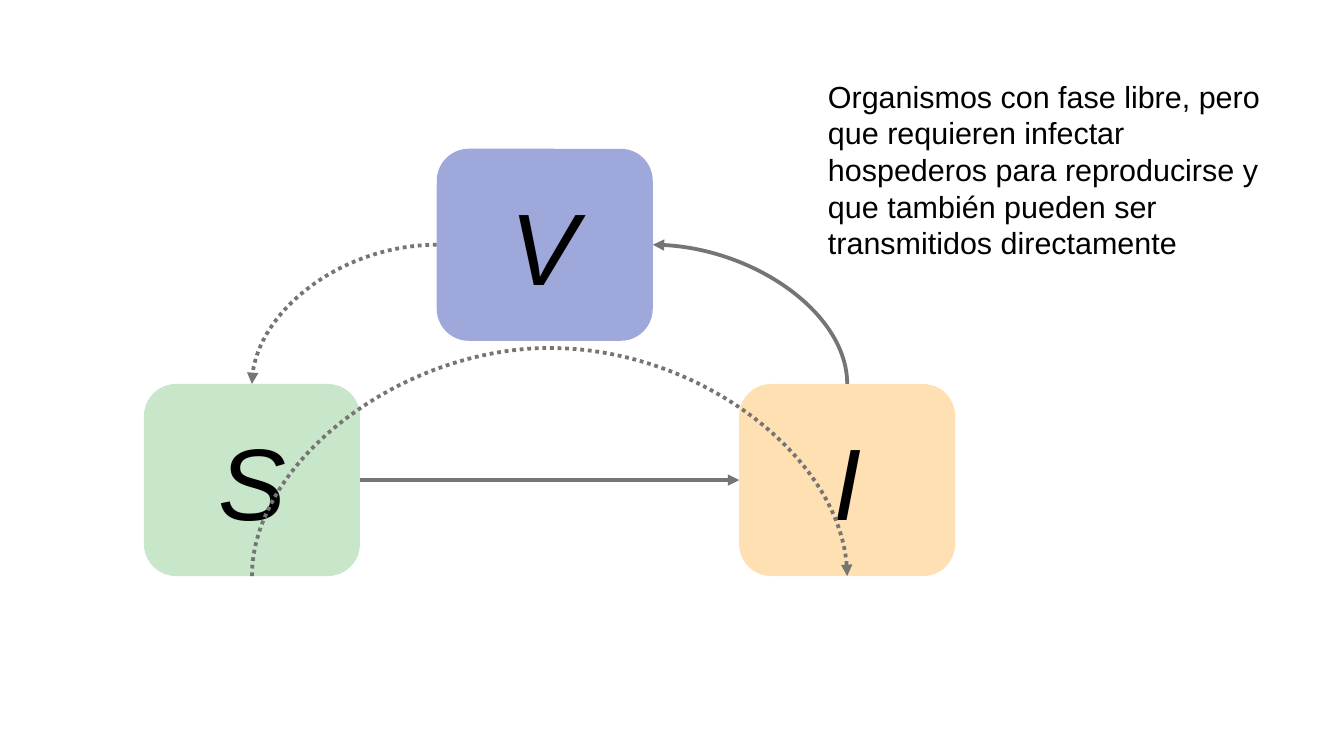
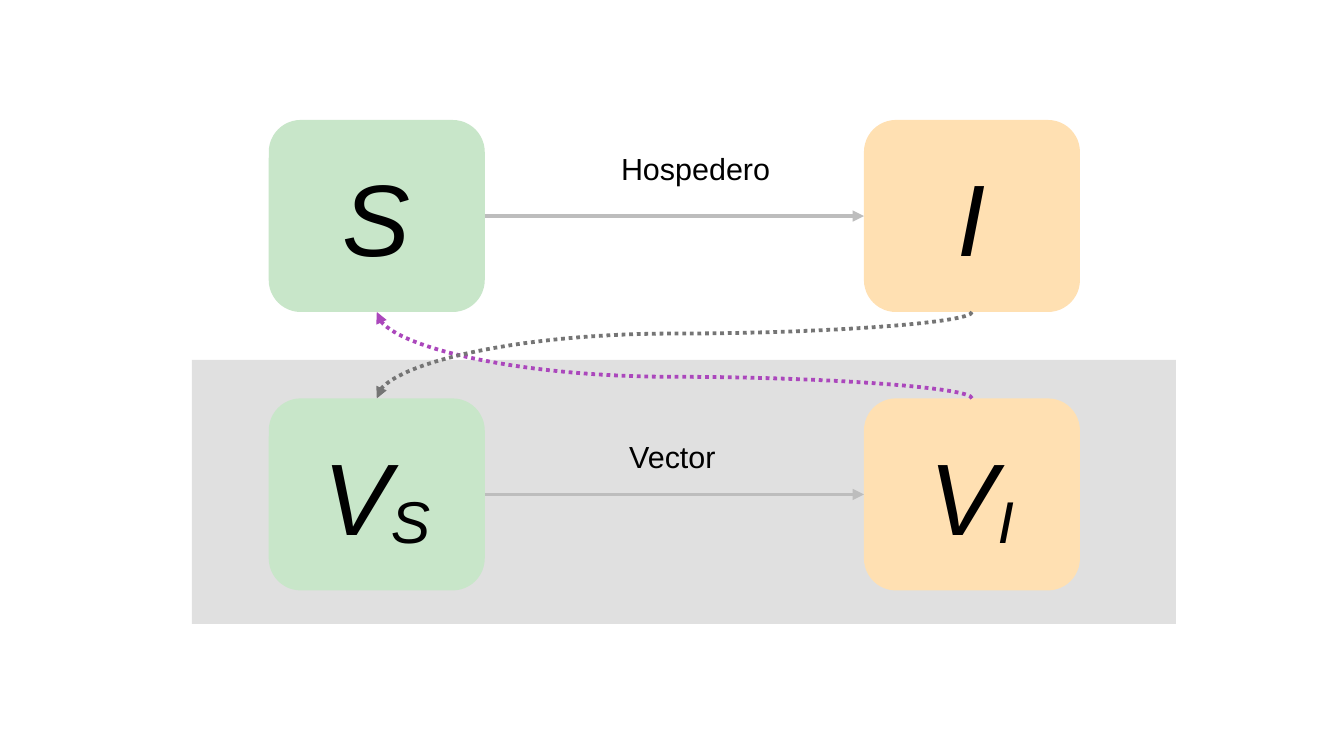
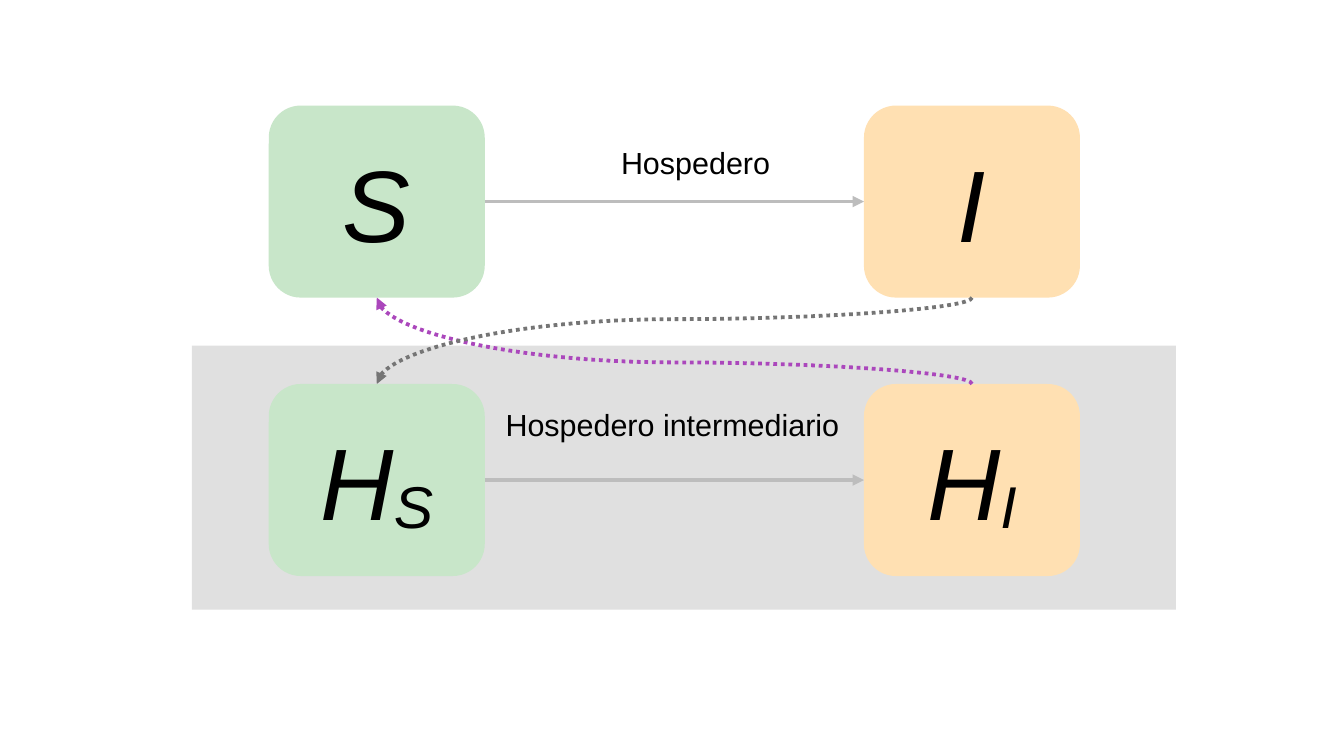
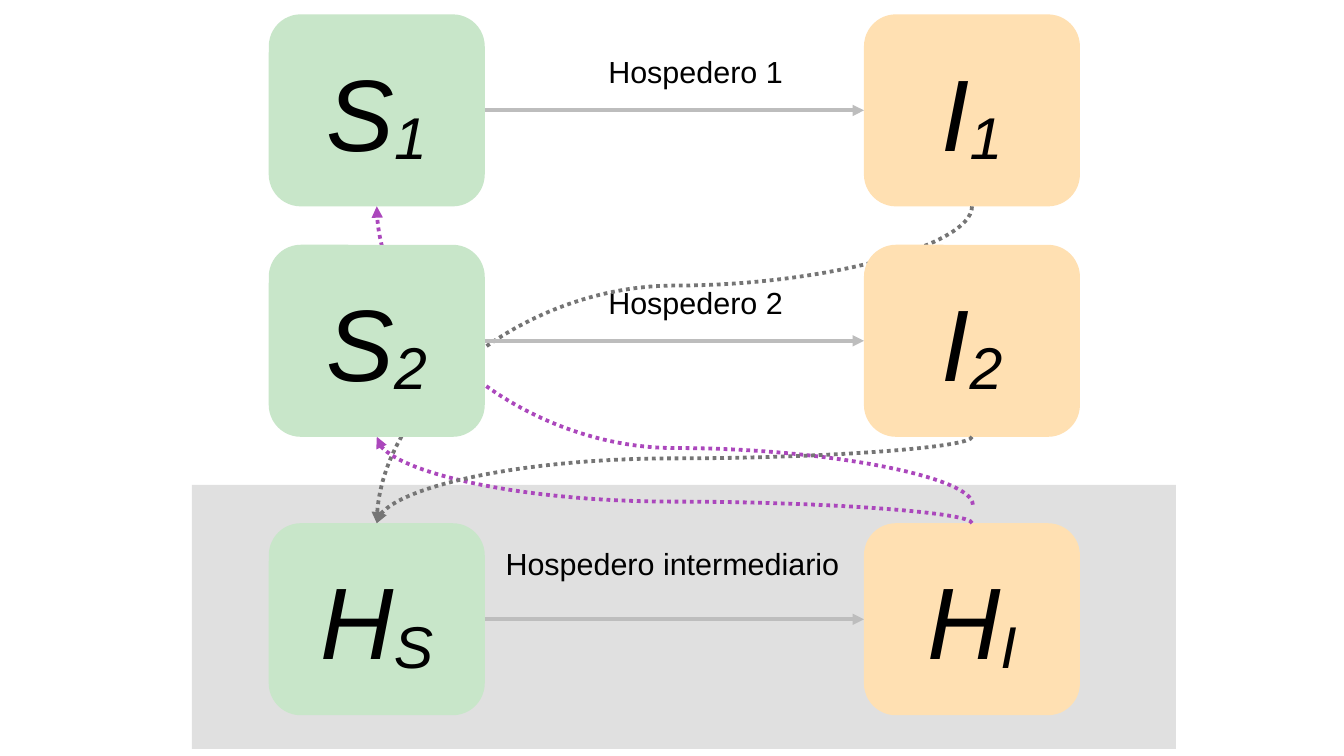
from lxml.etree import SubElement
from pptx import Presentation
from pptx.dml.color import RGBColor
from pptx.enum.dml import MSO_LINE
from pptx.enum.shapes import MSO_CONNECTOR, MSO_SHAPE
from pptx.enum.text import MSO_ANCHOR, MSO_AUTO_SIZE, PP_ALIGN
from pptx.oxml.ns import qn
from pptx.util import Pt

BLACK = RGBColor(0x00, 0x00, 0x00)
GREEN = RGBColor(0xC8, 0xE6, 0xC9)
ORANGE = RGBColor(0xFF, 0xE0, 0xB2)
INDIGO = RGBColor(0x9F, 0xA8, 0xDA)
PURPLE = RGBColor(0xAB, 0x47, 0xBC)
DARK_GREY = RGBColor(0x75, 0x75, 0x75)
MID_GREY = RGBColor(0xBD, 0xBD, 0xBD)
PALE_GREY = RGBColor(0xE0, 0xE0, 0xE0)

FONT = "Arial"
BOX_WIDTH, BOX_HEIGHT = 127.56, 113.39
LEFT_COLUMN, COLUMN_STEP = 158.74, 351.5
UPPER_LABEL_LEFT, LOWER_LABEL_LEFT = 254.9, 241.2
TOP, LEFT, BOTTOM, RIGHT = range(4)


class DiagramDeck:
    """Draws compartment diagrams in one shared style."""

    def __init__(self):
        self.presentation = Presentation()
        self.presentation.slide_width = Pt(793.7)
        self.presentation.slide_height = Pt(446.4)
        self.slide = None

    def new_slide(self):
        self.slide = self.presentation.slides.add_slide(self.presentation.slide_layouts[6])

    def block(self, kind, left, top, width, height, color):
        shape = self.slide.shapes.add_shape(kind, Pt(left), Pt(top), Pt(width), Pt(height))
        shape.shadow.inherit = False
        shape.fill.solid()
        shape.fill.fore_color.rgb = color
        shape.line.fill.background()
        return shape

    def text_run(self, paragraph, text, size, italic=False):
        run = paragraph.add_run()
        run.text = text
        run.font.name = FONT
        run.font.size = Pt(size)
        run.font.italic = italic
        run.font.color.rgb = BLACK
        return run

    def band(self, lower_row):
        self.block(MSO_SHAPE.RECTANGLE, 113.39, lower_row - 22.68, 581.1, 155.9, PALE_GREY)

    def box(self, left, top, color, letter, subscript=""):
        shape = self.block(MSO_SHAPE.ROUNDED_RECTANGLE, left, top, BOX_WIDTH, BOX_HEIGHT, color)
        shape.text_frame.vertical_anchor = MSO_ANCHOR.MIDDLE
        paragraph = shape.text_frame.paragraphs[0]
        paragraph.alignment = PP_ALIGN.CENTER
        self.text_run(paragraph, letter, 60, True)
        if subscript:
            run = self.text_run(paragraph, subscript, 60, True)
            run.font._element.set("baseline", "-8000")
        return shape

    def text(self, left, top, width, height, text, alignment=PP_ALIGN.LEFT):
        text_box = self.slide.shapes.add_textbox(Pt(left), Pt(top), Pt(width), Pt(height))
        text_box.text_frame.word_wrap = True
        text_box.text_frame.auto_size = MSO_AUTO_SIZE.SHAPE_TO_FIT_TEXT
        paragraph = text_box.text_frame.paragraphs[0]
        paragraph.alignment = alignment
        self.text_run(paragraph, text, 18)

    def label(self, left, top, text):
        self.text(left, top, 311.8, 27.4, text, PP_ALIGN.CENTER)

    def side(self, shape, site):
        across = {LEFT: 0, RIGHT: 1}.get(site, 0.5)
        down = {TOP: 0, BOTTOM: 1}.get(site, 0.5)
        return (shape.left + round(shape.width * across),
                shape.top + round(shape.height * down))

    def connector(self, kind, start, end, color, dotted=False):
        connector = self.slide.shapes.add_connector(kind, *start, *end)
        connector.line.color.rgb = color
        connector.line.width = Pt(2.25)
        if dotted:
            connector.line.dash_style = MSO_LINE.ROUND_DOT
        SubElement(connector.get_or_add_ln(), qn("a:tailEnd"), type="triangle")
        SubElement(connector._element.spPr, qn("a:effectLst"))
        return connector

    def arrow(self, source, target, color=MID_GREY):
        connector = self.connector(MSO_CONNECTOR.STRAIGHT, self.side(source, RIGHT),
                                   self.side(target, LEFT), color)
        connector.begin_connect(source, RIGHT)
        connector.end_connect(target, LEFT)

    def curve(self, start, end, color=DARK_GREY, dotted=True, bend=0.25):
        across, down = end[0] - start[0], end[1] - start[1]
        width, height = abs(down) or Pt(0.03), abs(across)
        left = (start[0] + end[0] - width) // 2
        top = (start[1] + end[1] - height) // 2
        connector = self.connector(MSO_CONNECTOR.CURVE, (left, top),
                                   (left + width, top + height), color, dotted)
        frame = connector._element.spPr.xfrm
        frame.set("rot", str((90 if down > 0 else 270) * 60000))
        if (down > 0) == (across > 0):
            frame.set("flipV", "1")
        if bend is None:
            self.make_quarter(connector)
        else:
            guides = connector._element.spPr.find(qn("a:prstGeom")).find(qn("a:avLst"))
            SubElement(guides, qn("a:gd"), name="adj1", fmla=f"val {round(bend * 100000)}")

    def quarter_curve(self, start, end, color=DARK_GREY):
        self.make_quarter(self.connector(MSO_CONNECTOR.CURVE, start, end, color, True))

    def make_quarter(self, connector):
        connector._element.spPr.find(qn("a:prstGeom")).set("prst", "curvedConnector2")

    def pair(self, top, susceptible, infected):
        source = self.box(LEFT_COLUMN, top, GREEN, *susceptible)
        target = self.box(LEFT_COLUMN + COLUMN_STEP, top, ORANGE, *infected)
        self.arrow(source, target)
        return source, target

    def crossing(self, upper, lower):
        self.curve(self.side(lower[1], TOP), self.side(upper[0], BOTTOM), PURPLE)
        self.curve(self.side(upper[1], BOTTOM), self.side(lower[0], TOP))

    def free_stage_slide(self):
        self.new_slide()
        susceptible = self.box(85.04, 226.77, GREEN, "S")
        infected = self.box(85.04 + COLUMN_STEP, 226.77, ORANGE, "I")
        free = self.box(257.95, 87.87, INDIGO, "V")
        self.arrow(susceptible, infected, DARK_GREY)
        self.curve(self.side(infected, TOP), self.side(free, RIGHT), dotted=False, bend=None)
        self.quarter_curve(self.side(free, LEFT), self.side(susceptible, TOP))
        self.text(481.9, 42.5, 283.5, 108,
                  "Organismos con fase libre, pero que requieren infectar hospederos para "
                  "reproducirse y que también pueden ser transmitidos directamente")
        self.curve(self.side(susceptible, BOTTOM), self.side(infected, BOTTOM), bend=2376)

    def two_row_slide(self, upper_row, letter, lower_name, upper_offset, lower_offset):
        self.new_slide()
        lower_row = upper_row + 164.41
        self.band(lower_row)
        upper = self.pair(upper_row, "S", "I")
        lower = self.pair(lower_row, letter + "S", letter + "I")
        self.label(LOWER_LABEL_LEFT, lower_row + lower_offset, lower_name)
        self.label(UPPER_LABEL_LEFT, upper_row + upper_offset, "Hospedero")
        self.crossing(upper, lower)

    def three_row_slide(self):
        self.new_slide()
        first_row, second_row, lower_row = 8.5, 144.57, 308.98
        self.band(lower_row)
        lower = self.pair(lower_row, "HS", "HI")
        self.label(LOWER_LABEL_LEFT, lower_row + 9.4, "Hospedero intermediario")
        self.label(UPPER_LABEL_LEFT, second_row + 19.4, "Hospedero 2")
        first = self.pair(first_row, "S1", "I1")
        self.label(UPPER_LABEL_LEFT, first_row + 19.4, "Hospedero 1")
        self.curve((Pt(574.5), Pt(298.1)), self.side(first[0], BOTTOM), PURPLE, bend=0.19)
        self.curve(self.side(first[1], BOTTOM), self.side(lower[0], TOP))
        second = self.pair(second_row, "S2", "I2")
        self.crossing(second, lower)


def main():
    deck = DiagramDeck()
    deck.free_stage_slide()
    deck.two_row_slide(70.87, "V", "Vector", 13.9, 19.6)
    deck.two_row_slide(62.36, "H", "Hospedero intermediario", 19.4, 9.4)
    deck.three_row_slide()
    deck.presentation.save("out.pptx")


if __name__ == "__main__":
    main()
